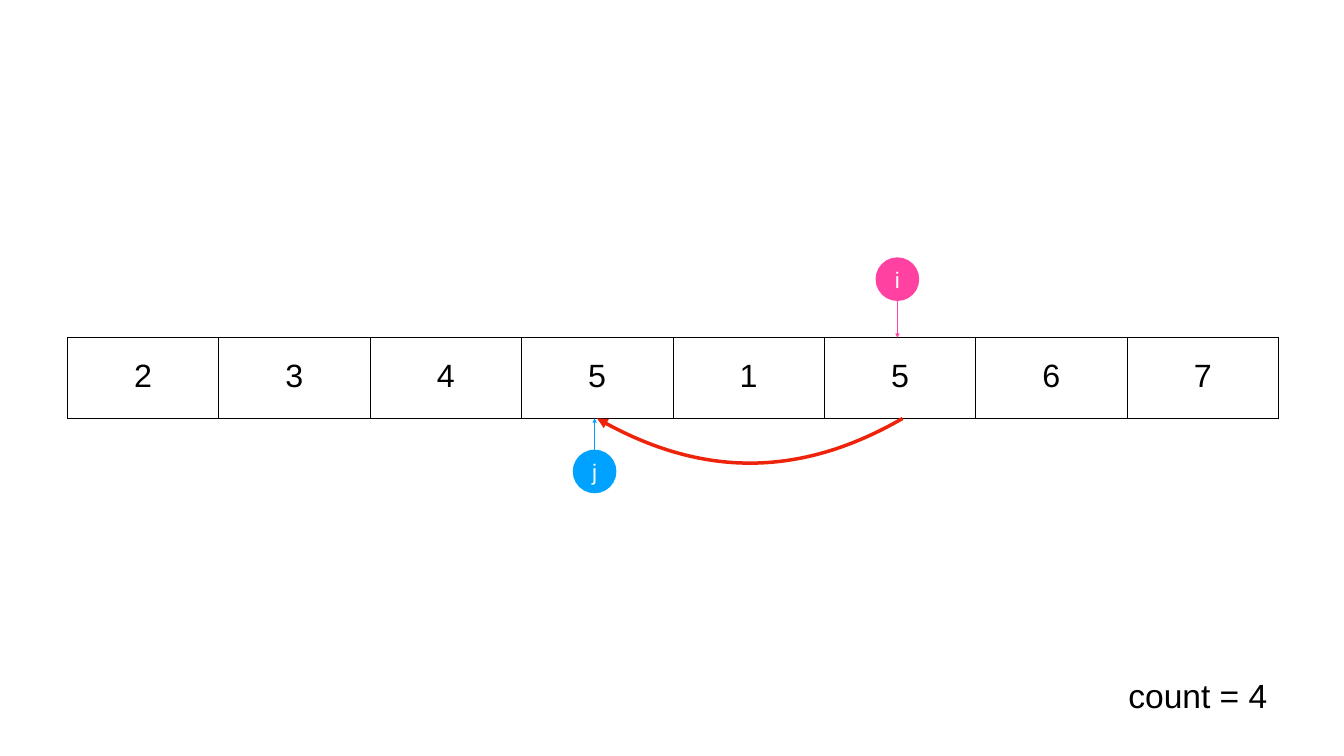
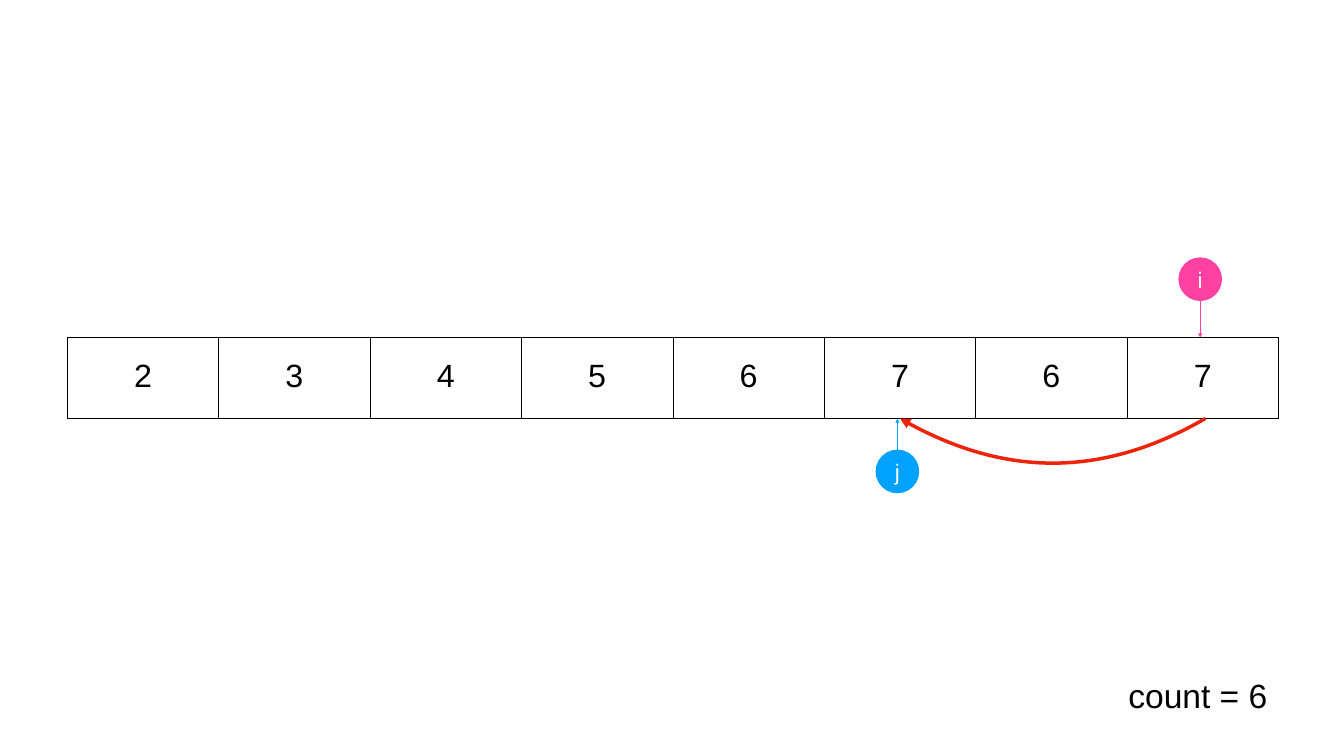
from dataclasses import dataclass

from lxml.etree import SubElement
from pptx import Presentation
from pptx.dml.color import RGBColor
from pptx.enum.shapes import MSO_CONNECTOR, MSO_SHAPE
from pptx.enum.text import MSO_ANCHOR, MSO_AUTO_SIZE, PP_ALIGN
from pptx.oxml import parse_xml
from pptx.oxml.ns import nsdecls, qn
from pptx.util import Cm, Pt


@dataclass(frozen=True)
class Theme:
    font: str = "Arial"
    ink: RGBColor = RGBColor(0x00, 0x00, 0x00)
    white: RGBColor = RGBColor(0xFF, 0xFF, 0xFF)
    read_pointer: RGBColor = RGBColor(0xFF, 0x42, 0xA1)
    write_pointer: RGBColor = RGBColor(0x00, 0xA2, 0xFF)
    copy_arrow: RGBColor = RGBColor(0xEE, 0x23, 0x0C)
    value_size: Pt = Pt(46)
    pointer_size: Pt = Pt(32)
    count_size: Pt = Pt(48)
    space_before: Pt = Pt(45)
    border_width: Pt = Pt(1)
    pointer_width: Pt = Pt(2)
    copy_width: Pt = Pt(5)
    inset: Cm = Cm(0.14)


THEME = Theme()
ARRAY_LEFT, ARRAY_TOP = Cm(3.39), Cm(17.02)
CELL_WIDTH, CELL_HEIGHT = Cm(7.63), Cm(4.07)
ARRAY_BOTTOM = ARRAY_TOP + CELL_HEIGHT
CIRCLE_SIZE = Cm(2.2)
POINTER_SHIFT = Cm(0.13)

STEPS = [
    {"values": [2, 3, 4, 5, 1, 5, 6, 7], "i": 5, "j": 3, "count": 4},
    {"values": [2, 3, 4, 5, 6, 7, 6, 7], "i": 7, "j": 5, "count": 6},
]


def cell_center(index):
    return ARRAY_LEFT + CELL_WIDTH * index + CELL_WIDTH // 2


def set_insets(holder):
    holder.margin_left = holder.margin_right = THEME.inset
    holder.margin_top = holder.margin_bottom = THEME.inset
    holder.vertical_anchor = MSO_ANCHOR.MIDDLE


def write(frame, text, size, color, align):
    para = frame.paragraphs[0]
    para.text = text
    para.alignment = align
    para.font.name = THEME.font
    para.font.size = size
    para.font.color.rgb = color
    return para


def space_like_body(para):
    para.line_spacing = 0.9
    para.space_before = THEME.space_before


def add_borders(cell):
    properties = cell._tc.get_or_add_tcPr()
    for position, side in enumerate(("lnL", "lnR", "lnT", "lnB")):
        border = parse_xml(
            f'<a:{side} {nsdecls("a")} w="{THEME.border_width}"><a:solidFill>'
            f'<a:srgbClr val="{THEME.ink}"/></a:solidFill></a:{side}>'
        )
        properties.insert(position, border)


def add_array(page, values):
    table = page.shapes.add_table(
        1, len(values), ARRAY_LEFT, ARRAY_TOP, CELL_WIDTH * len(values), CELL_HEIGHT
    ).table
    table.first_row = table.horz_banding = False
    for column, value in enumerate(values):
        table.columns[column].width = CELL_WIDTH
        cell = table.cell(0, column)
        set_insets(cell)
        cell.fill.background()
        add_borders(cell)
        space_like_body(
            write(cell.text_frame, str(value), THEME.value_size, THEME.ink, PP_ALIGN.CENTER)
        )


def style_line(shape, color, width, arrow_end):
    shape.line.color.rgb = color
    shape.line.width = width
    outline = shape.element.spPr.get_or_add_ln()
    SubElement(outline, qn(f"a:{arrow_end}"), type="triangle")


def add_pointer(page, name, index, color, circle_top, line_start, line_end):
    center = cell_center(index) - POINTER_SHIFT
    circle = page.shapes.add_shape(
        MSO_SHAPE.OVAL, center - CIRCLE_SIZE // 2, circle_top, CIRCLE_SIZE, CIRCLE_SIZE
    )
    circle.shadow.inherit = False
    circle.fill.solid()
    circle.fill.fore_color.rgb = color
    circle.line.fill.background()
    set_insets(circle.text_frame)
    write(circle.text_frame, name, THEME.pointer_size, THEME.white, PP_ALIGN.CENTER)

    arrow = page.shapes.add_connector(
        MSO_CONNECTOR.STRAIGHT, center, line_start, center, line_end
    )
    style_line(arrow, color, THEME.pointer_width, "tailEnd")
    SubElement(arrow.element.spPr, qn("a:effectLst"))


def add_copy_arrow(page, source, target):
    left = cell_center(target)
    width = cell_center(source) + POINTER_SHIFT - left
    control_depth = Cm(2.96)
    builder = page.shapes.build_freeform(left, ARRAY_BOTTOM)
    builder.add_line_segments(
        [
            (left + width // 2, ARRAY_BOTTOM + control_depth * 3 // 4),
            (left + width, ARRAY_BOTTOM),
        ],
        close=False,
    )
    arrow = builder.convert_to_shape()
    arrow.shadow.inherit = False
    arrow.fill.background()

    segments = arrow.element.xpath(".//a:lnTo")
    outline = segments[0].getparent()
    for segment in segments:
        outline.remove(segment)
    curve = SubElement(outline, qn("a:cubicBezTo"))
    for x, y in ((width // 3, control_depth), (width * 2 // 3, control_depth), (width, 0)):
        SubElement(curve, qn("a:pt"), x=str(x), y=str(y))
    style_line(arrow, THEME.copy_arrow, THEME.copy_width, "headEnd")


def add_count(page, count):
    box = page.shapes.add_textbox(Cm(56.72), Cm(33.91), Cm(7.95), Cm(2.46))
    frame = box.text_frame
    set_insets(frame)
    frame.word_wrap = False
    frame.auto_size = MSO_AUTO_SIZE.SHAPE_TO_FIT_TEXT
    space_like_body(
        write(frame, f"count = {count}", THEME.count_size, THEME.ink, PP_ALIGN.LEFT)
    )


def add_step(deck, step):
    page = deck.slides.add_slide(deck.slide_layouts[6])
    add_array(page, step["values"])
    add_pointer(
        page, "i", step["i"], THEME.read_pointer, Cm(12.97), Cm(15.17), ARRAY_TOP
    )
    add_count(page, step["count"])
    add_pointer(
        page, "j", step["j"], THEME.write_pointer, Cm(22.66), Cm(22.89), ARRAY_BOTTOM
    )
    add_copy_arrow(page, step["i"], step["j"])


def main():
    deck = Presentation()
    deck.slide_width, deck.slide_height = Cm(67.73), Cm(38.1)
    for step in STEPS:
        add_step(deck, step)
    deck.save("out.pptx")


if __name__ == "__main__":
    main()
